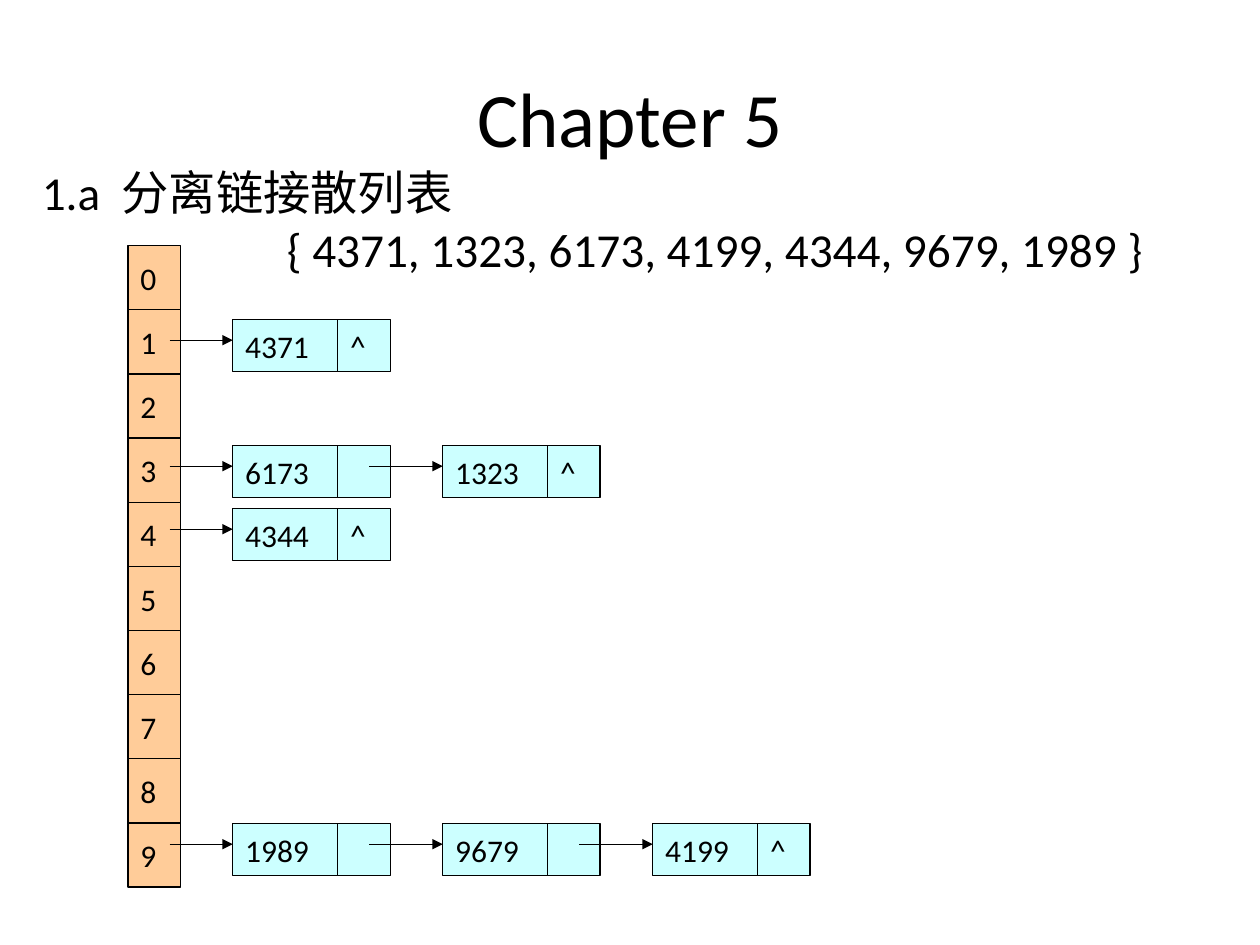
from dataclasses import dataclass

import pptx
import pptx.dml.color
import pptx.enum.shapes
import pptx.enum.text
import pptx.oxml.ns
import pptx.util
from lxml import etree

Pt = pptx.util.Pt
RGB = pptx.dml.color.RGBColor.from_string
ANCHOR = pptx.enum.text.MSO_ANCHOR
ALIGN = pptx.enum.text.PP_ALIGN
qn = pptx.oxml.ns.qn


@dataclass(frozen=True)
class Theme:
    font: str = "Calibri"
    ink: str = "000000"
    slot: str = "FFCC99"
    node: str = "CCFFFF"
    title: int = 44
    body: int = 27
    label: int = 18
    line: float = 0.75


theme = Theme()

prs = pptx.Presentation()
prs.slide_width, prs.slide_height = Pt(720), Pt(540)
s = prs.slides.add_slide(prs.slide_layouts[6])


def add_cell(x, y, w, h, text, fill):
    sp = s.shapes.add_shape(pptx.enum.shapes.MSO_SHAPE.RECTANGLE,
                            Pt(x), Pt(y), Pt(w), Pt(h))
    sp.shadow.inherit = False
    sp.fill.solid()
    sp.fill.fore_color.rgb = RGB(fill)
    sp.line.color.rgb = RGB(theme.ink)
    sp.line.width = Pt(theme.line)
    tf = sp.text_frame
    tf.vertical_anchor = ANCHOR.MIDDLE
    tf.text = text
    p = tf.paragraphs[0]
    p.alignment = ALIGN.LEFT
    for r in p.runs:
        r.font.name = theme.font
        r.font.size = Pt(theme.label)
        r.font.color.rgb = RGB(theme.ink)


def add_arrow(x1, x2, y):
    line = s.shapes.add_connector(pptx.enum.shapes.MSO_CONNECTOR.STRAIGHT,
                                  Pt(x1), Pt(y), Pt(x2), Pt(y))
    line.line.color.rgb = RGB(theme.ink)
    line.line.width = Pt(theme.line)
    etree.SubElement(line.line._get_or_add_ln(), qn("a:tailEnd"), type="triangle")
    etree.SubElement(line._element.spPr, qn("a:effectLst"))


# Title
tf = s.shapes.add_textbox(Pt(36), Pt(21.6), Pt(648), Pt(90)).text_frame
tf.word_wrap = True
tf.vertical_anchor = ANCHOR.MIDDLE
tf.text = "Chapter 5"
p = tf.paragraphs[0]
p.alignment = ALIGN.CENTER
p.font.name = theme.font
r = p.runs[0]
r.font.name = theme.font
r.font.size = Pt(theme.title)
r.font.color.rgb = RGB(theme.ink)

# Exercise heading and the keys, the latter indented
tf = s.shapes.add_textbox(Pt(16.8), Pt(95.8), Pt(656), Pt(67.7)).text_frame
tf.word_wrap = True
tf.text = "1.a  分离链接散列表\n{ 4371, 1323, 6173, 4199, 4344, 9679, 1989 }"
for p in tf.paragraphs:
    p.line_spacing = 0.8
    r = p.runs[0]
    r.font.name = theme.font
    r.font.size = Pt(theme.body)
    r.font.color.rgb = RGB(theme.ink)
keys = tf.paragraphs[1]
keys.space_before = Pt(6.8)
keys._p.get_or_add_pPr().set("marL", str(Pt(140)))

# Hash table slots
SLOT_X, SLOT_Y, SLOT_W, SLOT_H = 73.2, 140.4, 30, 36.65
for i in range(10):
    add_cell(SLOT_X, SLOT_Y + i * SLOT_H, SLOT_W, SLOT_H, str(i), theme.slot)

# Chains: top edge of each row and its keys in order
NODE_X, PITCH, KEY_W, LINK_W, NODE_H = 133, 120, 60, 30, 30
chains = [
    (182.4, ["4371"]),
    (254.4, ["6173", "1323"]),
    (290.4, ["4344"]),
    (470.4, ["1989", "9679", "4199"]),
]
for y, chain in chains:
    for i, key in enumerate(chain):
        x = NODE_X + i * PITCH
        link = "^" if i == len(chain) - 1 else ""
        add_cell(x, y, KEY_W, NODE_H, key, theme.node)
        add_cell(x + KEY_W, y, LINK_W, NODE_H, link, theme.node)

# Arrows start inside the slot or the previous link cell
for y, chain in chains:
    for i in range(len(chain)):
        x = NODE_X + i * PITCH
        add_arrow(x - (42 if i else 36), x, y + 12)

prs.save("out.pptx")
